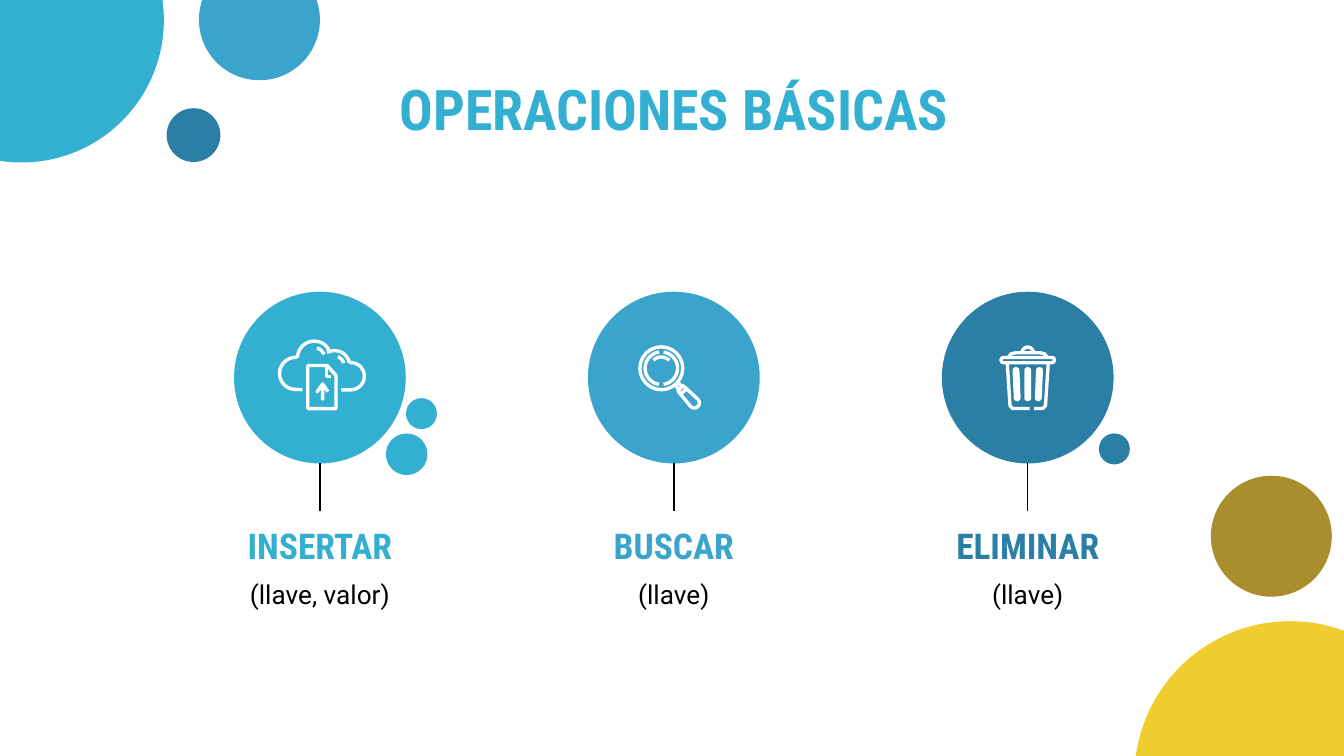
from dataclasses import dataclass
from math import cos, radians, sin

from lxml import etree
from pptx import Presentation
from pptx.dml.color import RGBColor
from pptx.enum.shapes import MSO_CONNECTOR, MSO_SHAPE
from pptx.enum.text import MSO_ANCHOR, PP_ALIGN
from pptx.oxml.ns import qn
from pptx.util import Pt

STRAIGHT = MSO_CONNECTOR.STRAIGHT
OVAL = MSO_SHAPE.OVAL
TOP, MIDDLE = MSO_ANCHOR.TOP, MSO_ANCHOR.MIDDLE
CENTER = PP_ALIGN.CENTER

COLORS = {
    "cyan": "33AFD1", "blue": "3AA4CC", "navy": "2B7EA4",
    "yellow": "EFCD2F", "ochre": "AA8E2D", "black": "000000", "white": "FFFFFF",
}
HEADING, BODY = "Roboto Condensed", "Roboto"
FIRST_X, STEP_X, CENTER_Y, DIAMETER = 171.4, 189.6, 202.3, 92
LABEL_Y, LABEL_W = 273.6, 141.8

Point = tuple[float, float]
Stroke = list[Point]


@dataclass
class Dot:
    x: float
    y: float
    size: float
    color: str


@dataclass
class Operation:
    name: str
    arguments: str
    color: str
    icon: list[Stroke]


def rgb(name: str) -> RGBColor:
    return RGBColor.from_string(COLORS[name])


def arc(x: float, y: float, radius: float, start: int, end: int) -> Stroke:
    angles = [radians(start + (end - start) * i / 24) for i in range(25)]
    return [(x + radius * cos(a), y + radius * sin(a)) for a in angles]


def capsule(top_x: float, bottom_x: float, top: float, bottom: float, radius: float) -> Stroke:
    outline = arc(top_x, top + radius, radius, 180, 360) + arc(bottom_x, bottom - radius, radius, 0, 180)
    return outline + outline[:1]


def cloud_icon() -> list[Stroke]:
    cloud = [(-9.4, 6.5), *arc(-13, -2.2, 8.6, 90, 270), *arc(-3, -10.5, 9, 185, 325),
             *arc(7.9, -6.4, 8, 245, 345), *arc(16.5, -0.7, 7.3, 270, 450), (11.5, 6.6)]
    page = [(-6.5, -6.5), (3.8, -6.5), (8.6, -1.2), (8.6, 16.6), (-6.5, 16.6), (-6.5, -6.5)]
    fold = [(3.4, -6.5), (3.4, -0.7), (6, -0.7)]
    arrow = [(1.4, 12.2), (1.4, 3.4), (-1.5, 7.6), (1.4, 3.4), (4.3, 7.6)]
    return [cloud, page, fold, arrow, arc(-3, -10.5, 5.5, 285, 340), arc(7.9, -6.4, 5, 290, 345)]


def magnifier_icon() -> list[Stroke]:
    x, y = -6.7, -5
    handle = [(2.2, 7.2), (9, 15.5), *arc(11, 13.6, 2.7, 135, -45), (13, 11.7), (5, 4.3), (2.2, 7.2)]
    return [arc(x, y, 11.5, 0, 360), arc(x, y, 8.7, -82, 82), arc(x, y, 8.7, 98, 262),
            arc(x, y, 6, 225, 315), handle, [(3.9, 8.6), (6.5, 6.5)],
            [(1.1, 4.3), (2.4, 6.2)], [(2.5, 2.9), (4.3, 4.6)]]


def bin_icon() -> list[Stroke]:
    bar = arc(-12.9, -9.4, 1.4, 90, 270) + arc(12.9, -9.4, 1.4, -90, 90)
    dome = [(-10.5, -10.8), (-9, -12.7), (-6.5, -13.3), (6.5, -13.3), (9, -12.7), (10.5, -10.8)]
    left = [(-11, -7.9), (-9.5, 15.1), (-8, 16.6), (1, 16.6)]
    right = [(11, -7.9), (9.5, 15.1), (8, 16.6), (3.4, 16.6)]
    slots = [capsule(x, x * 0.9, -4.7, 11.7, 0.95) for x in (-6.3, 0, 6.3)]
    return [bar + bar[:1], dome, arc(0, -13.3, 3, 180, 360), left, right, *slots]


def add_dot(slide, dot: Dot):
    sp = slide.shapes.add_shape(OVAL, Pt(dot.x), Pt(dot.y), Pt(dot.size), Pt(dot.size))
    sp.shadow.inherit = False
    sp.fill.solid()
    sp.fill.fore_color.rgb = rgb(dot.color)
    sp.line.fill.background()
    return sp


def add_text(slide, text: str, *, x: float, y: float, w: float, h: float, size: float,
             color: str, font: str = HEADING, bold: bool = True, anchor=MIDDLE):
    sp = slide.shapes.add_textbox(Pt(x), Pt(y), Pt(w), Pt(h))
    tf = sp.text_frame
    tf.word_wrap = True
    tf.vertical_anchor = anchor
    tf.margin_left = tf.margin_right = tf.margin_top = tf.margin_bottom = Pt(7.2)
    p = tf.paragraphs[0]
    p.alignment = CENTER
    r = p.add_run()
    r.text = text
    r.font.size, r.font.name, r.font.bold = Pt(size), font, bold
    r.font.color.rgb = rgb(color)
    return sp


def add_stroke(slide, stroke: Stroke, cx: float, cy: float) -> None:
    points = [(Pt(cx + x), Pt(cy + y)) for x, y in stroke]
    builder = slide.shapes.build_freeform(*points[0])
    builder.add_line_segments(points[1:], close=points[0] == points[-1])
    sp = builder.convert_to_shape()
    sp.shadow.inherit = False
    sp.fill.background()
    sp.line.color.rgb = rgb("white")
    sp.line.width = Pt(1.8)


def add_operation(slide, op: Operation, cx: float) -> None:
    radius = DIAMETER / 2
    left = cx - LABEL_W / 2
    add_dot(slide, Dot(cx - radius, CENTER_Y - radius, DIAMETER, op.color))
    label = add_text(slide, op.name, x=left, y=LABEL_Y, w=LABEL_W, h=36.7, size=19, color=op.color)
    add_text(slide, op.arguments, x=left, y=302.4, w=LABEL_W, h=77.8, size=14,
             color="black", font=BODY, bold=False, anchor=TOP)
    line = slide.shapes.add_connector(STRAIGHT, Pt(cx), Pt(CENTER_Y + radius), Pt(cx), Pt(LABEL_Y))
    line.end_connect(label, 0)
    line.line.color.rgb = rgb("black")
    line.line.width = Pt(0.75)
    etree.SubElement(line._element.spPr, qn("a:effectLst"))
    for stroke in op.icon:
        add_stroke(slide, stroke, cx, CENTER_Y)


def main() -> None:
    """Build the slide of basic operations and save it."""
    prs = Presentation()
    prs.slide_width, prs.slide_height = Pt(720), Pt(405)
    s = prs.slides.add_slide(prs.slide_layouts[6])
    corner_dots = [
        Dot(106.6, -21.8, 64.8, "blue"), Dot(-64.8, -65.5, 152.6, "cyan"),
        Dot(89.3, 58, 28.8, "navy"), Dot(607.7, 332.8, 167, "yellow"),
        Dot(648.7, 254.9, 64.8, "ochre"),
    ]
    accent_dots = [
        Dot(217.5, 213.3, 16.6, "cyan"), Dot(588.7, 232.2, 16.6, "navy"),
        Dot(206.7, 232.2, 22.3, "cyan"),
    ]
    operations = [
        Operation("INSERTAR", "(llave, valor)", "cyan", cloud_icon()),
        Operation("BUSCAR", "(llave)", "blue", magnifier_icon()),
        Operation("ELIMINAR", "(llave)", "navy", bin_icon()),
    ]
    for dot in corner_dots:
        add_dot(s, dot)
    add_text(s, "OPERACIONES BÁSICAS", x=56.2, y=35.3, w=609.8, h=45.4, size=30, color="cyan")
    for i, op in enumerate(operations):
        add_operation(s, op, FIRST_X + i * STEP_X)
    for dot in accent_dots:
        add_dot(s, dot)
    prs.save("out.pptx")


if __name__ == "__main__":
    main()
